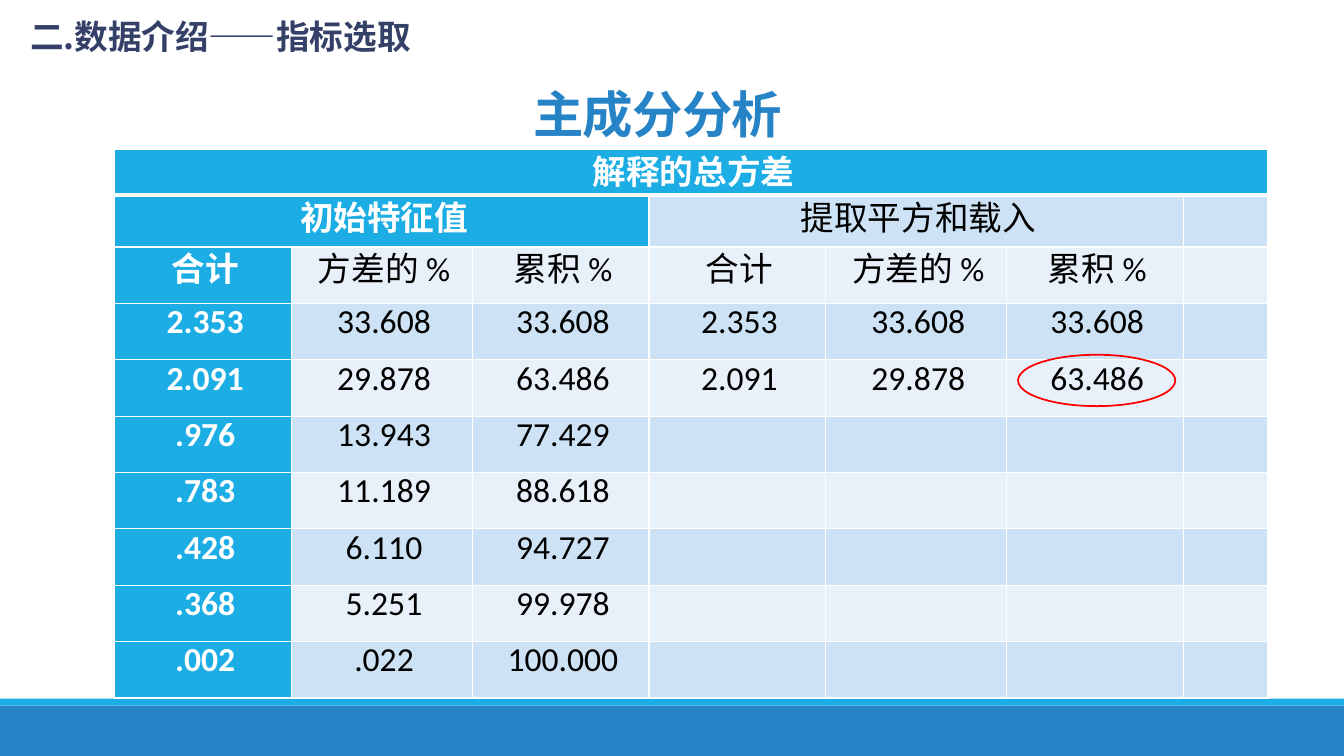
from lxml.etree import SubElement
from pptx import Presentation
from pptx.dml.color import RGBColor
from pptx.enum.shapes import MSO_SHAPE
from pptx.enum.text import MSO_ANCHOR, PP_ALIGN
from pptx.oxml.ns import qn
from pptx.util import Pt

COLORS = {
    "blue": "2683C6", "cyan": "1CADE4", "navy": "344068", "red": "FF0000",
    "white": "FFFFFF", "black": "000000", "band_dark": "CDE3F5", "band_light": "E8F1FA",
}
SUBHEADS = ["合计", "方差的 %", "累积 %"]
ROWS = [
    ["解释的总方差"],
    ["初始特征值", "", "", "提取平方和载入"],
    SUBHEADS * 2,
    ["2.353", "33.608", "33.608"] * 2,
    ["2.091", "29.878", "63.486"] * 2,
    [".976", "13.943", "77.429"],
    [".783", "11.189", "88.618"],
    [".428", "6.110", "94.727"],
    [".368", "5.251", "99.978"],
    [".002", ".022", "100.000"],
]
HEADER_ROWS = 3
COL_WIDTHS = [126, 129.6, 126] * 2 + [60.5]
ROW_HEIGHTS = [33, 36.9] + [40.3] * 8
MERGES = [(0, 0, 6), (1, 0, 2), (1, 3, 5)]
LINE_PITCH = 16


def rgb(name):
    return RGBColor.from_string(COLORS[name])


def add_run(p, text, color, size=24, bold=True, font="Calibri"):
    r = p.add_run()
    r.text = text
    for key, value in {"size": Pt(size), "bold": bold, "name": font}.items():
        setattr(r.font, key, value)
    r.font.color.rgb = rgb(color)
    return r


def add_text(s, text, box, color, anchor=MSO_ANCHOR.TOP, **font):
    tf = s.shapes.add_textbox(*map(Pt, box)).text_frame
    tf.word_wrap = True
    tf.vertical_anchor = anchor
    return add_run(tf.paragraphs[0], text, color, **font), tf.paragraphs[0]


def add_shape(s, kind, box, fill=None, line=None):
    sp = s.shapes.add_shape(kind, *map(Pt, box))
    sp.shadow.inherit = False
    if fill:
        sp.fill.solid()
        sp.fill.fore_color.rgb = rgb(fill)
    else:
        sp.fill.background()
    if line:
        sp.line.color.rgb = rgb(line)
        sp.line.width = Pt(1.25)
    else:
        sp.line.fill.background()


def style_cell(cell, fill, bottom_width):
    """Fill the cell and give it white borders, which must precede the fill."""
    tc_pr = cell._tc.get_or_add_tcPr()
    for side, width in {"L": 1, "R": 1, "T": 1, "B": bottom_width}.items():
        ln = SubElement(tc_pr, qn(f"a:ln{side}"), w=str(Pt(width)))
        SubElement(SubElement(ln, qn("a:solidFill")), qn("a:srgbClr"), val=COLORS["white"])
    cell.fill.solid()
    cell.fill.fore_color.rgb = rgb(fill)


def write_cell(cell, text, is_header, is_accent):
    """Header text sits on the second line of its cell; data is centred."""
    for side in ("left", "right", "top", "bottom"):
        setattr(cell, f"margin_{side}", Pt(0))
    if is_header:
        cell.margin_top = Pt(LINE_PITCH)
    else:
        cell.vertical_anchor = MSO_ANCHOR.MIDDLE
    p = cell.text_frame.paragraphs[0]
    p.alignment = PP_ALIGN.CENTER
    p.line_spacing = Pt(LINE_PITCH)
    p._p.get_or_add_pPr().set("marL", str(Pt(3)))
    add_run(p, text, "white" if is_accent else "black", bold=is_accent)


def add_variance_table(s, left, top):
    table = s.shapes.add_table(
        len(ROWS), len(COL_WIDTHS), Pt(left), Pt(top),
        Pt(sum(COL_WIDTHS)), Pt(sum(ROW_HEIGHTS))).table
    for col, width in zip(table.columns, COL_WIDTHS):
        col.width = Pt(width)
    for row, height in zip(table.rows, ROW_HEIGHTS):
        row.height = Pt(height)
    for row, first, last in MERGES:
        table.cell(row, first).merge(table.cell(row, last))
    for i, texts in enumerate(ROWS):
        for j in range(len(COL_WIDTHS)):
            cell = table.cell(i, j)
            is_accent = i == 0 or j == 0 or (i == 1 and j < 3)
            band = "band_dark" if i % 2 else "band_light"
            style_cell(cell, "cyan" if is_accent else band, 1 if i else 3)
            if j < len(texts) and texts[j]:
                write_cell(cell, texts[j], i < HEADER_ROWS, is_accent)


def main():
    prs = Presentation()
    prs.slide_width, prs.slide_height = Pt(960), Pt(540)
    s = prs.slides.add_slide(prs.slide_layouts[6])
    add_shape(s, MSO_SHAPE.RECTANGLE, (0, 504, 960, 36), fill="blue")
    add_shape(s, MSO_SHAPE.RECTANGLE, (0, 499, 960, 5), fill="cyan")
    r, p = add_text(s, "主成分分析", (373.7, -7.9, 792, 114.5), "blue",
                    MSO_ANCHOR.BOTTOM, size=36)
    r._r.get_or_add_rPr().set("spc", "-50")
    p.line_spacing = 0.85
    add_variance_table(s, 82, 106.5)
    r, p = add_text(s, "二.数据介绍——指标选取", (14.4, 7.9, 403, 36), "navy",
                    font="Noto Sans CJK SC")
    SubElement(r._r.get_or_add_rPr(), qn("a:ea"), typeface="Noto Sans CJK SC")
    add_shape(s, MSO_SHAPE.OVAL, (727.2, 253.4, 112.3, 36.7), line="red")
    prs.save("out.pptx")


if __name__ == "__main__":
    main()
